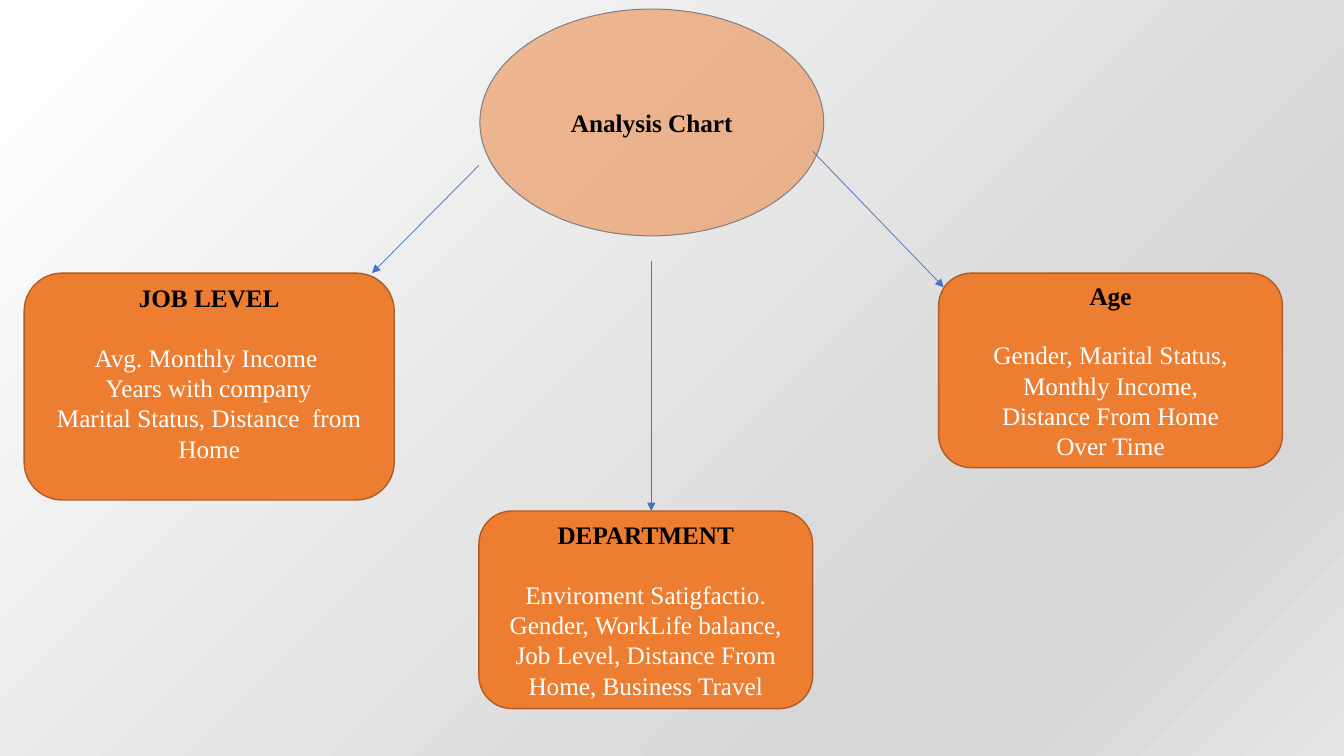
from lxml import etree
from pptx import Presentation
from pptx import util as u
from pptx.dml import color
from pptx.enum import shapes, text
from pptx.oxml import ns

FONT = "Times New Roman"
ORANGE = "ED7D31"
BACKGROUND_STOPS = [(0, "FFFFFF"), (74, "D7D7D7"), (83, "D7D7D7"), (100, "E4E4E4")]
CARDS = [
    ((0.24, 2.71, 3.67, 2.25), 0.32, "JOB LEVEL",
     ["Avg. Monthly Income ", " Years with company ", "Marital Status, Distance  from Home"]),
    ((4.75, 5.07, 3.31, 1.96), 0.05, "DEPARTMENT",
     ["Enviroment Satigfactio. Gender, WorkLife balance, "
      "Job Level, Distance From Home, Business Travel"]),
    ((9.31, 2.71, 3.41, 1.93), 0.05, "Age",
     ["Gender, Marital Status,", "Monthly Income,", "Distance From Home", "Over Time"]),
]
ARROWS = [(8.06, 1.5, 9.36, 2.85), (4.75, 1.64, 3.69, 2.71), (6.46, 2.59, 6.46, 5.07)]


def rgb(value):
    return color.RGBColor.from_string(value)


def add_element(parent, tag, **attributes):
    return etree.SubElement(parent, ns.qn(tag), attributes)


def paint_background(slide):
    fill = slide.background.fill
    fill.gradient()
    fill.gradient_angle = 315
    stop_list = slide.background._cSld.find(".//" + ns.qn("a:gsLst"))
    for stop in list(stop_list):
        stop_list.remove(stop)
    for position, value in BACKGROUND_STOPS:
        stop = add_element(stop_list, "a:gs", pos=str(position * 1000))
        add_element(stop, "a:srgbClr", val=value)


def add_box(slide, kind, box, line_color, line_width):
    shape = slide.shapes.add_shape(kind, *map(u.Inches, box))
    shape.shadow.inherit = False
    shape.fill.solid()
    shape.fill.fore_color.rgb = rgb(ORANGE)
    shape.line.color.rgb = rgb(line_color)
    shape.line.width = u.Pt(line_width)
    shape.text_frame.word_wrap = True
    shape.text_frame.vertical_anchor = text.MSO_ANCHOR.MIDDLE
    return shape


def write(paragraph, words, value, bold=False):
    paragraph.alignment = text.PP_ALIGN.CENTER
    run = paragraph.add_run()
    run.text = words
    run.font.name = FONT
    run.font.size = u.Pt(18)
    run.font.bold = bold
    run.font.color.rgb = rgb(value)


def add_hub(slide, box, title):
    shape = add_box(slide, shapes.MSO_SHAPE.OVAL, box, "808080", 0.75)
    fill_color = shape._element.spPr.find(ns.qn("a:solidFill"))[0]
    add_element(fill_color, "a:alpha", val="50000")
    write(shape.text_frame.paragraphs[0], title, "000000", True)


def add_card(slide, box, bottom_margin, heading, lines):
    shape = add_box(slide, shapes.MSO_SHAPE.ROUNDED_RECTANGLE, box, "AF5C24", 1)
    frame = shape.text_frame
    frame.margin_bottom = u.Inches(bottom_margin)
    frame.paragraphs[0].space_after = u.Pt(21)
    write(frame.paragraphs[0], heading, "000000", True)
    for line in lines:
        write(frame.add_paragraph(), line, "FFFFFF")


def add_arrow(slide, ends):
    connector = slide.shapes.add_connector(
        shapes.MSO_CONNECTOR.STRAIGHT, *map(u.Inches, ends))
    connector.line.color.rgb = rgb("4472C4")
    connector.line.width = u.Pt(0.5)
    add_element(connector.line._get_or_add_ln(), "a:tailEnd", type="triangle")
    add_element(connector._element.spPr, "a:effectLst")


def build_analysis_slide(presentation):
    slide = presentation.slides.add_slide(presentation.slide_layouts[6])
    paint_background(slide)
    add_hub(slide, (4.76, 0.09, 3.41, 2.25), "Analysis Chart")
    for card in CARDS:
        add_card(slide, *card)
    for ends in ARROWS:
        add_arrow(slide, ends)


def main():
    presentation = Presentation()
    presentation.slide_width = u.Inches(13.33)
    presentation.slide_height = u.Inches(7.5)
    build_analysis_slide(presentation)
    presentation.save("out.pptx")


if __name__ == "__main__":
    main()
